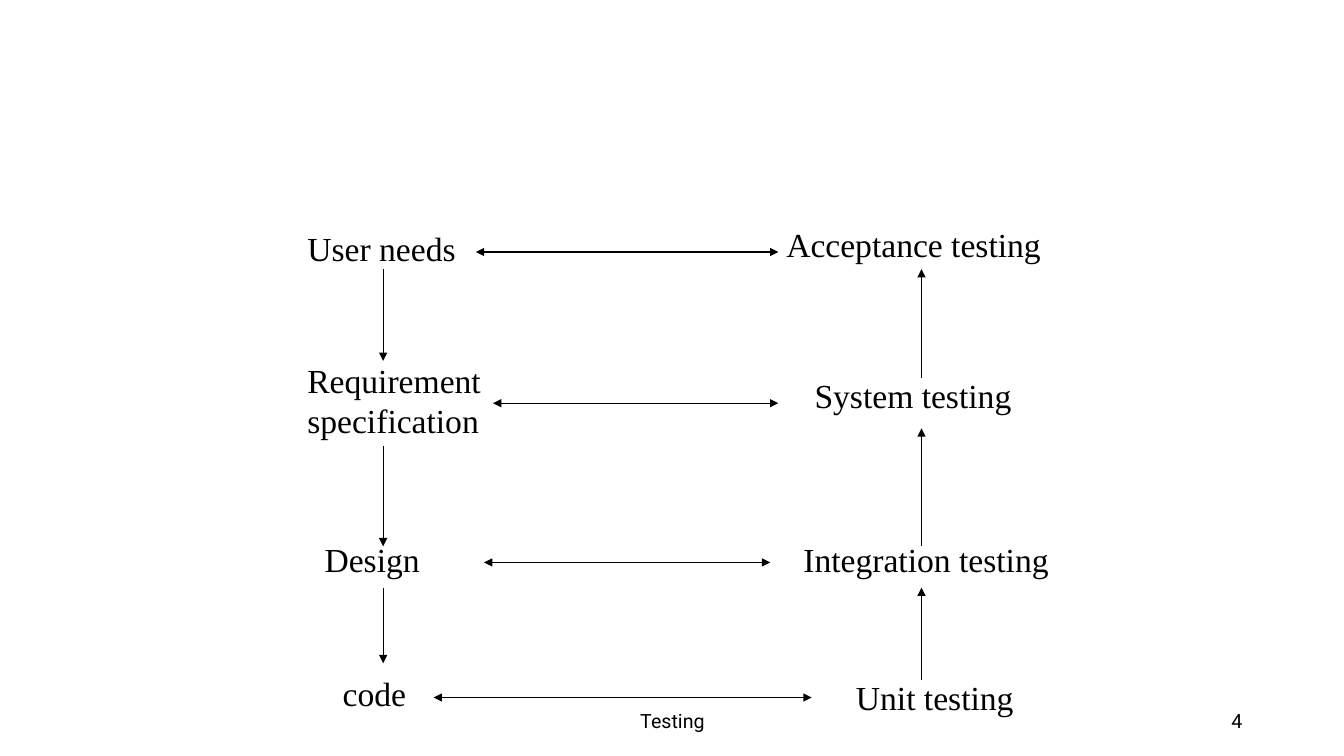
from lxml import etree
from pptx import Presentation
from pptx.dml.color import RGBColor
from pptx.enum.shapes import MSO_CONNECTOR
from pptx.enum.text import MSO_ANCHOR, PP_ALIGN
from pptx.oxml.ns import qn
from pptx.util import Inches, Pt

STRAIGHT = MSO_CONNECTOR.STRAIGHT
LEFT, CENTER, RIGHT = PP_ALIGN.LEFT, PP_ALIGN.CENTER, PP_ALIGN.RIGHT
TOP, MIDDLE = MSO_ANCHOR.TOP, MSO_ANCHOR.MIDDLE
COLORS = {"ink": "000000"}
LABEL_FONT, FOOTER_FONT = "Times New Roman", "Roboto"

# Label: text, left, top, width, height (widths leave room for one line)
LABELS = [
    ("User needs", 2.95, 2.21, 1.77, 0.5),
    ("Requirement\nspecification", 2.95, 3.52, 2.04, 0.91),
    ("Design", 3.12, 5.3, 1.25, 0.5),
    ("code", 3.3, 6.63, 0.93, 0.5),
    ("Acceptance testing", 7.7, 2.17, 2.82, 0.5),
    ("System testing", 7.98, 3.67, 2.25, 0.5),
    ("Integration testing", 7.87, 5.3, 2.73, 0.5),
    ("Unit testing", 8.39, 6.67, 1.86, 0.5),
]
# Level link: left end, right end, height on the slide
LINKS = [(4.72, 7.72, 2.5), (4.89, 7.72, 4), (4.8, 7.64, 5.58), (4.3, 8.05, 6.92)]
# Steps on each side: start and end heights
DEVELOPMENT_X, TESTING_X = 3.8, 9.14
DEVELOPMENT_STEPS = [(2.67, 3.58), (4.42, 5.42), (5.83, 6.58)]
TESTING_STEPS = [(6.75, 5.83), (5.42, 4.25), (3.75, 2.67)]


def add_text(slide, text, left, top, width, height, font, size, align=LEFT, anchor=TOP):
    sp = slide.shapes.add_textbox(Inches(left), Inches(top), Inches(width), Inches(height))
    tf = sp.text_frame
    tf.text = text
    tf.word_wrap = True
    tf.vertical_anchor = anchor
    for p in tf.paragraphs:
        p.alignment = align
        for r in p.runs:
            r.font.name = font
            r.font.size = Pt(size)
            r.font.color.rgb = RGBColor.from_string(COLORS["ink"])


def add_arrow(slide, x1, y1, x2, y2, both_ends=False):
    sp = slide.shapes.add_connector(STRAIGHT, Inches(x1), Inches(y1), Inches(x2), Inches(y2))
    sp.line.color.rgb = RGBColor.from_string(COLORS["ink"])
    sp.line.width = Pt(0.75)
    props = sp._element.spPr
    ln = props.find(qn("a:ln"))
    for end in ("a:headEnd", "a:tailEnd") if both_ends else ("a:tailEnd",):
        etree.SubElement(ln, qn(end), type="triangle")
    etree.SubElement(props, qn("a:effectLst"))


def main():
    prs = Presentation()
    prs.slide_width, prs.slide_height = Inches(13.33), Inches(7.5)
    slide = prs.slides.add_slide(prs.slide_layouts[6])

    # Footer and slide number
    add_text(slide, "Testing", 4.42, 6.95, 4.5, 0.4, FOOTER_FONT, 14, CENTER, MIDDLE)
    add_text(slide, "4", 9.42, 6.95, 3, 0.4, FOOTER_FONT, 14, RIGHT, MIDDLE)

    # Development and testing stages
    for text, left, top, width, height in LABELS:
        add_text(slide, text, left, top, width, height, LABEL_FONT, 24)

    # Links between matching stages
    for left, right, y in LINKS:
        add_arrow(slide, left, y, right, y, both_ends=True)

    # Steps down through development and up through testing
    for x, steps in ((DEVELOPMENT_X, DEVELOPMENT_STEPS), (TESTING_X, TESTING_STEPS)):
        for start, end in steps:
            add_arrow(slide, x, start, x, end)

    prs.save("out.pptx")


if __name__ == "__main__":
    main()
